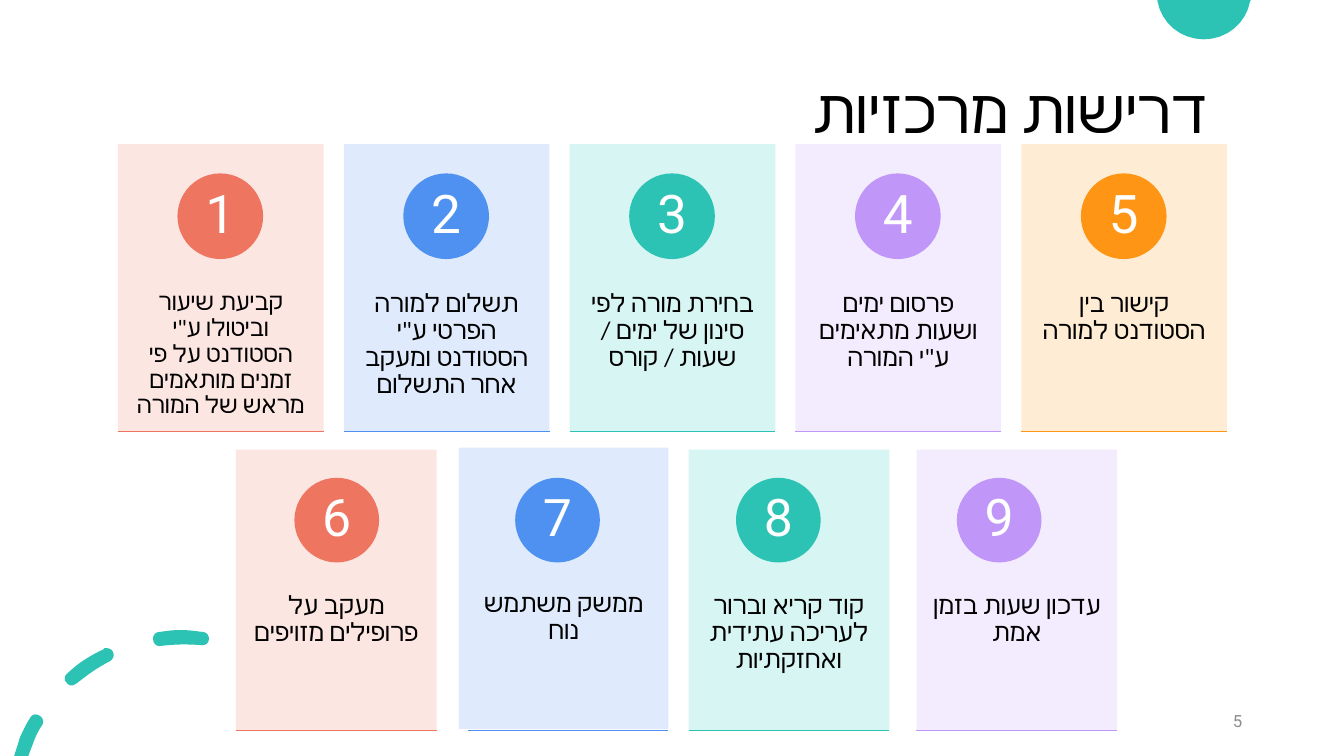
from dataclasses import dataclass

from lxml.etree import SubElement
from pptx import Presentation
from pptx.dml.color import RGBColor
from pptx.enum.shapes import MSO_CONNECTOR, MSO_SHAPE
from pptx.enum.text import MSO_ANCHOR, MSO_AUTO_SIZE, PP_ALIGN
from pptx.oxml.ns import qn
from pptx.util import Inches, Pt


@dataclass(frozen=True)
class Theme:
    teal: str = "2CC3B4"
    black: str = "000000"
    white: str = "FFFFFF"
    grey: str = "8C8C8C"
    # (panel, accent) pairs, in card order
    pairs: tuple = (("FCE4DF", "EE7661"), ("DCE9FC", "4E91F0"), ("D3F5F2", "2CC3B4"),
                    ("F2EAFE", "C097F8"), ("FFEAD0", "FF9514"))
    panel_alpha: int = 90
    text_font: str = "Calibri"
    number_font: str = "Roboto"
    title_size: int = 44
    body_size: int = 18
    dense_size: int = 17
    top_number: int = 38
    bottom_number: int = 37
    page_size: int = 12


THEME = Theme()

TOP_TEXTS = [
    "קביעת שיעור וביטולו ע\"י הסטודנט על פי זמנים מותאמים מראש של המורה",
    "תשלום למורה הפרטי ע\"י הסטודנט ומעקב אחר התשלום",
    "בחירת מורה לפי סינון של ימים / שעות / קורס",
    "פרסום ימים ושעות מתאימים ע\"י המורה",
    "קישור בין הסטודנט למורה",
]
# text, panel (left, top, width), underline left
BOTTOM_CARDS = [
    ("מעקב על פרופילים מזויפים", (2.34, 4.46, 1.99), 2.34),
    ("ממשק משתמש נוח", (4.55, 4.44, 2.08), 4.64),
    ("קוד קריא וברור לעריכה עתידית ואחזקתיות", (6.83, 4.46, 1.99), 6.83),
    ("עדכון שעות בזמן אמת", (9.09, 4.46, 1.99), 9.09),
]

# Outlines: a start point, then lines (x, y) and Bézier curves (two controls, end)
CORNER_DISC = [[(11.48, 0), (12.41, 0), (12.4, 0.01), (12.36, 0.23, 12.17, 0.39, 11.94, 0.39),
                (11.71, 0.39, 11.52, 0.23, 11.48, 0.01)]]
DASHES = [
    [(0.36, 7.09), (0.34, 7.08, 0.31, 7.1, 0.3, 7.12), (0.26, 7.18, 0.23, 7.25, 0.2, 7.31),
     (0.14, 7.5), (0.28, 7.5), (0.33, 7.37), (0.35, 7.31, 0.38, 7.25, 0.42, 7.19),
     (0.44, 7.16, 0.42, 7.11, 0.39, 7.1), (0.38, 7.09, 0.37, 7.09, 0.36, 7.09)],
    [(1.05, 6.43), (1.04, 6.43, 1.03, 6.43, 1.03, 6.44), (0.9, 6.5, 0.77, 6.58, 0.67, 6.68),
     (0.64, 6.7, 0.63, 6.75, 0.66, 6.77), (0.67, 6.79, 0.69, 6.8, 0.71, 6.8),
     (0.73, 6.8, 0.74, 6.79, 0.76, 6.78), (0.86, 6.7, 0.97, 6.62, 1.09, 6.56),
     (1.12, 6.54, 1.14, 6.5, 1.12, 6.47), (1.11, 6.44, 1.08, 6.43, 1.05, 6.43)],
    [(1.79, 6.25), (1.72, 6.25, 1.65, 6.26, 1.58, 6.27), (1.54, 6.27, 1.51, 6.31, 1.52, 6.35),
     (1.52, 6.38, 1.55, 6.41, 1.58, 6.41), (1.73, 6.39, 1.86, 6.39, 1.99, 6.4),
     (2.03, 6.41, 2.07, 6.38, 2.07, 6.35), (2.08, 6.31, 2.05, 6.27, 2.01, 6.27),
     (1.94, 6.26, 1.86, 6.25, 1.79, 6.25)],
]


def rgb(color):
    return RGBColor.from_string(color)


def paint(sp, color, alpha=100):
    sp.shadow.inherit = False
    sp.fill.solid()
    sp.fill.fore_color.rgb = rgb(color)
    sp.line.fill.background()
    if alpha < 100:
        srgb = sp.fill._xPr.find(".//" + qn("a:srgbClr"))
        SubElement(srgb, qn("a:alpha")).set("val", str(alpha * 1000))


def write(sp, text, font, size, color, align=PP_ALIGN.CENTER, anchor=MSO_ANCHOR.MIDDLE,
          insets=(0.1, 0.05, 0.1, 0.05), spacing=0.9, rtl=False):
    tf = sp.text_frame
    tf.word_wrap = True
    tf.auto_size = MSO_AUTO_SIZE.NONE
    tf.vertical_anchor = anchor
    tf.margin_left, tf.margin_top, tf.margin_right, tf.margin_bottom = map(Inches, insets)
    p = tf.paragraphs[0]
    p.alignment = align
    p.line_spacing = spacing
    r = p.add_run()
    r.text = text
    r.font.name = font
    r.font.size = Pt(size)
    r.font.color.rgb = rgb(color)
    if rtl:
        p._p.get_or_add_pPr().set("rtl", "1")
        SubElement(r._r.get_or_add_rPr(), qn("a:cs")).set("typeface", font)


def flatten(outline, steps=8):
    """Return the outline's points with each curve cut into short lines."""
    points = [outline[0]]
    for seg in outline[1:]:
        if len(seg) == 2:
            points.append(seg)
            continue
        knots = [points[-1], seg[:2], seg[2:4], seg[4:]]
        for i in range(1, steps + 1):
            t = i / steps
            weights = ((1 - t) ** 3, 3 * t * (1 - t) ** 2, 3 * t * t * (1 - t), t ** 3)
            points.append(tuple(sum(w * k[axis] for w, k in zip(weights, knots))
                                for axis in (0, 1)))
    return [(Inches(x), Inches(y)) for x, y in points]


def add_outline(s, outlines, color):
    contours = [flatten(outline) for outline in outlines]
    builder = s.shapes.build_freeform(*contours[0][0])
    for i, points in enumerate(contours):
        if i:
            builder.move_to(*points[0])
        builder.add_line_segments(points[1:], close=True)
    paint(builder.convert_to_shape(), color)


def add_underline(s, left, top, width, color):
    line = s.shapes.add_connector(MSO_CONNECTOR.STRAIGHT, Inches(left), Inches(top),
                                  Inches(left + width), Inches(top))
    line.line.color.rgb = rgb(color)
    line.line.width = Pt(1)
    SubElement(line._element.spPr, qn("a:effectLst"))


def add_panel(s, box, text, size, color, text_top):
    sp = s.shapes.add_shape(MSO_SHAPE.RECTANGLE, *map(Inches, box))
    paint(sp, color, THEME.panel_alpha)
    write(sp, text, THEME.text_font, size, THEME.black, anchor=MSO_ANCHOR.TOP,
          insets=(0.16, text_top, 0.16, 0.05), rtl=True)


def add_number(s, left, top, diameter, number, size, color):
    sp = s.shapes.add_shape(MSO_SHAPE.OVAL, *map(Inches, (left, top, diameter, diameter)))
    paint(sp, color)
    write(sp, str(number), THEME.number_font, size, THEME.white, insets=(0, 0, 0, 0))


def add_top_row(s):
    for i, (text, (panel, accent)) in enumerate(zip(TOP_TEXTS, THEME.pairs)):
        left = 1.17 + 2.24 * i
        size = THEME.dense_size if i == 0 else THEME.body_size
        add_panel(s, (left, 1.43, 2.04, 2.85), text, size, panel, 1.45)
        add_number(s, left + 0.59, 1.72, 0.85, i + 1, THEME.top_number, accent)
        add_underline(s, left, 4.28, 2.04, accent)


def add_bottom_row(s):
    for i, (card, (panel, accent)) in enumerate(zip(BOTTOM_CARDS, THEME.pairs)):
        text, box, line_left = card
        add_panel(s, (*box, 2.79), text, THEME.body_size, panel, 1.42)
        number = len(TOP_TEXTS) + i + 1
        add_number(s, 2.92 + 2.19 * i, 4.74, 0.84, number, THEME.bottom_number, accent)
        add_underline(s, line_left, 7.25, 1.99, accent)


def add_title(s, text):
    title = s.shapes.title
    title.left, title.top, title.width, title.height = map(Inches, (0.59, 0.4, 11.5, 1.45))
    write(title, text, THEME.text_font, THEME.title_size, THEME.black,
          align=PP_ALIGN.RIGHT, rtl=True)


def add_page_number(s, number):
    sp = s.shapes.add_textbox(*map(Inches, (9.42, 6.95, 3, 0.4)))
    write(sp, str(number), THEME.number_font, THEME.page_size, THEME.grey,
          align=PP_ALIGN.RIGHT, spacing=1.0)


def main():
    prs = Presentation()
    prs.slide_width, prs.slide_height = Inches(13.33), Inches(7.5)
    s = prs.slides.add_slide(prs.slide_layouts[5])
    add_outline(s, CORNER_DISC, THEME.teal)
    add_outline(s, DASHES, THEME.teal)
    add_title(s, "דרישות מרכזיות")
    add_top_row(s)
    add_page_number(s, 5)
    add_bottom_row(s)
    prs.save("out.pptx")


if __name__ == "__main__":
    main()
